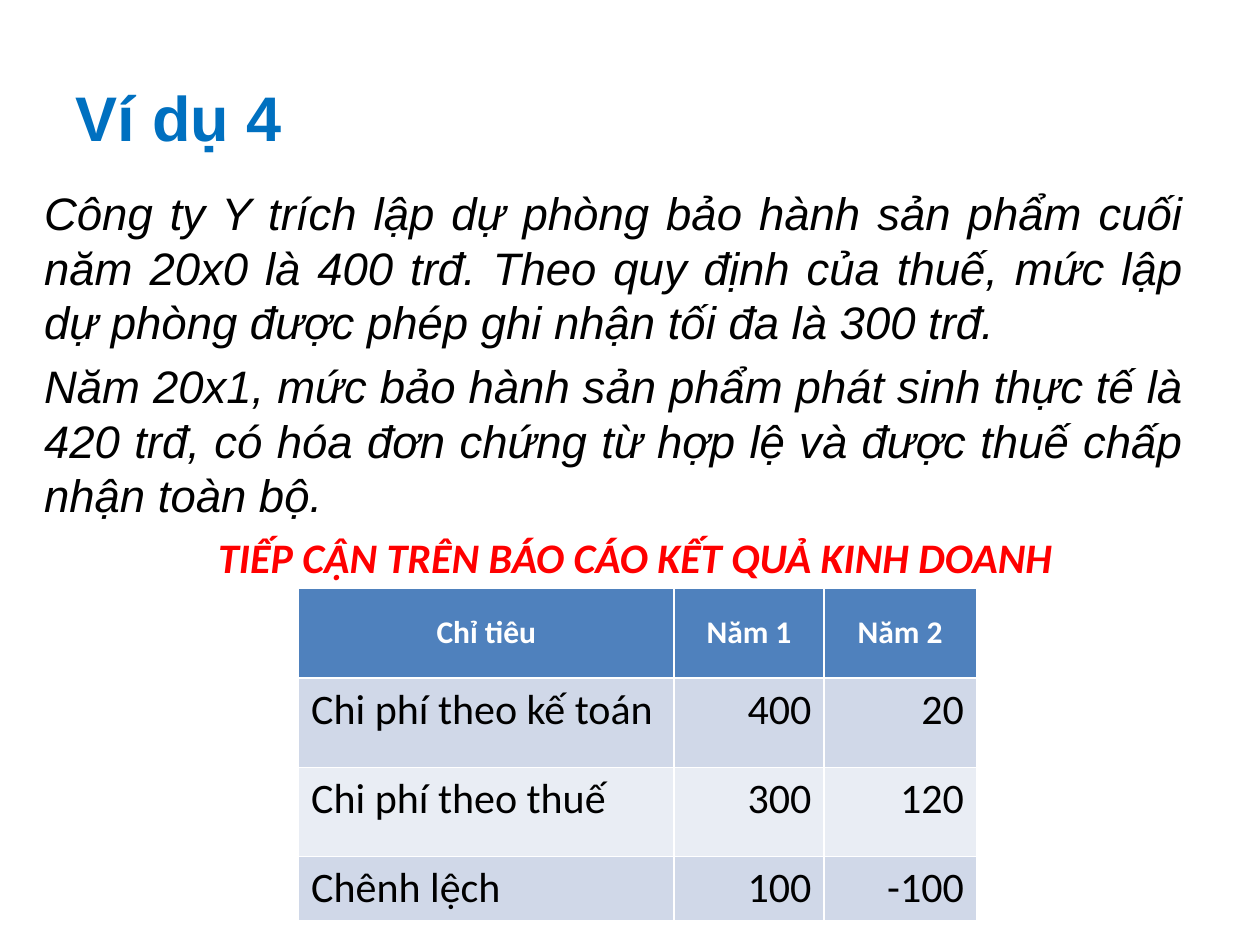
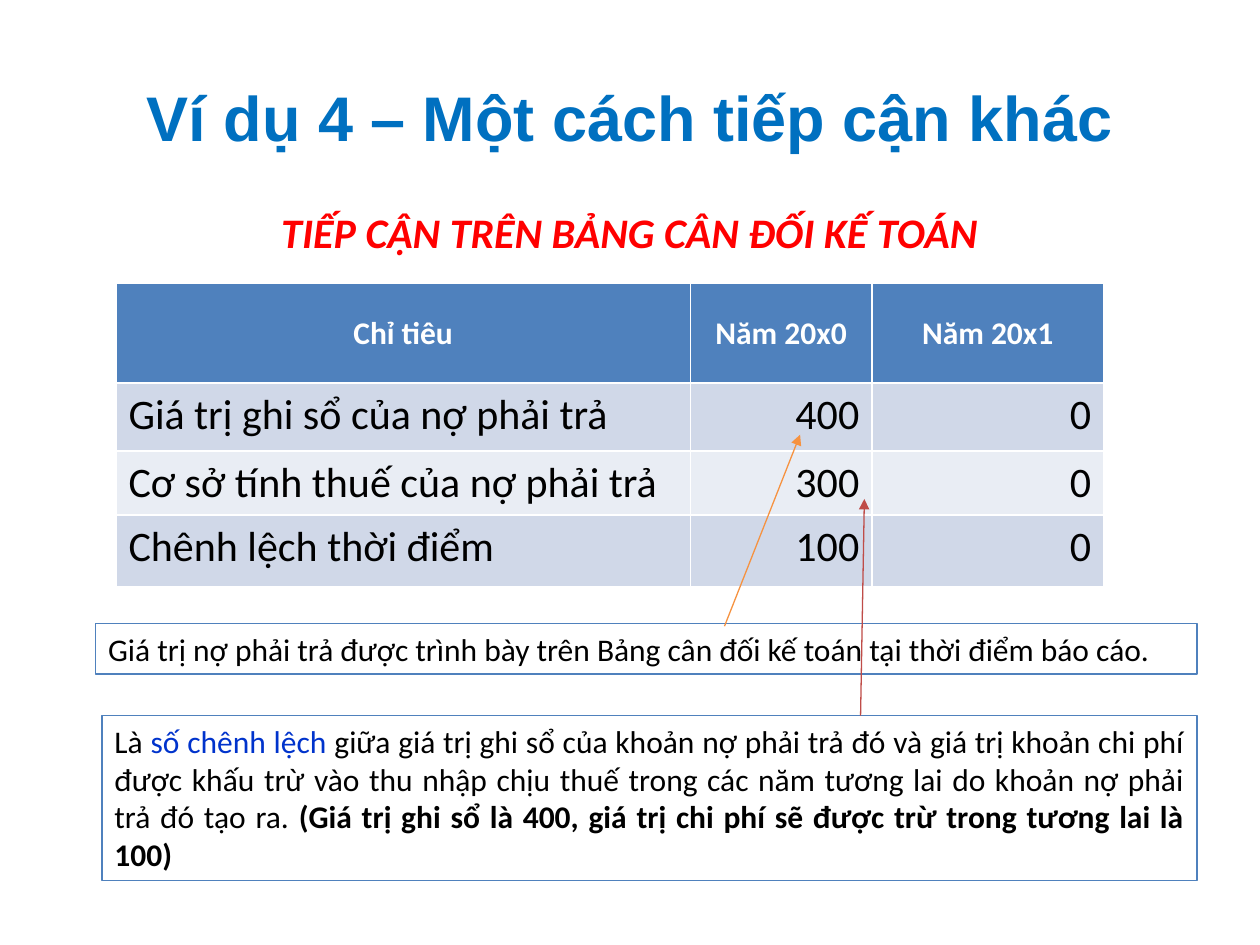
from lxml import etree
from pptx import Presentation
from pptx.dml.color import RGBColor
from pptx.enum.shapes import MSO_CONNECTOR
from pptx.enum.text import MSO_ANCHOR, MSO_AUTO_SIZE, PP_ALIGN as Align
from pptx.oxml.ns import qn
from pptx.util import Inches, Pt

BLUE = RGBColor(0x00, 0x70, 0xC0)
RED = RGBColor(0xFF, 0x00, 0x00)
BLACK = RGBColor(0x00, 0x00, 0x00)
WHITE = RGBColor(0xFF, 0xFF, 0xFF)
HEAD = RGBColor(0x4F, 0x81, 0xBD)
BANDS = [RGBColor(0xE9, 0xED, 0xF4), RGBColor(0xD0, 0xD8, 0xE8)]
LINK = RGBColor(0x00, 0x33, 0xCC)
ORANGE = RGBColor(0xF6, 0x92, 0x40)
BRICK = RGBColor(0xBF, 0x4C, 0x48)


def style(para, name, size, color, align, bold=False, italic=False):
    para.alignment = align
    font = para.font
    font.name, font.size = name, Pt(size)
    font.bold, font.italic = bold, italic
    font.color.rgb = color


def place(shape, left, top, width, height):
    shape.left, shape.top = Inches(left), Inches(top)
    shape.width, shape.height = Inches(width), Inches(height)


deck = Presentation()
deck.slide_width, deck.slide_height = Inches(10), Inches(7.5)

# Shared parts: title, red heading and table
pages = [
    dict(layout=1, title="Ví dụ 4", align=Align.LEFT,
         head="TIẾP CẬN TRÊN BÁO CÁO KẾT QUẢ KINH DOANH",
         box=(0.33, 4.17, 9.42, 0.75), at=(2.37, 4.67),
         cols=[2.98, 1.19, 1.21], rows=[0.71, 0.71, 0.71, 0.4],
         data=[("Chỉ tiêu", "Năm 1", "Năm 2"),
               ("Chi phí theo kế toán", "400", "20"),
               ("Chi phí theo thuế", "300", "120"),
               ("Chênh lệch", "100", "-100")]),
    dict(layout=5, title="Ví dụ 4 – Một cách tiếp cận khác", align=Align.CENTER,
         head="TIẾP CẬN TRÊN BẢNG CÂN ĐỐI KẾ TOÁN",
         box=(0.75, 1.59, 8.49, 0.75), at=(0.92, 2.25),
         cols=[4.56, 1.44, 1.84], rows=[0.79, 0.54, 0.49, 0.57],
         data=[("Chỉ tiêu", "Năm 20x0", "Năm 20x1"),
               ("Giá trị ghi sổ của nợ phải trả", "400", "0"),
               ("Cơ sở tính thuế của nợ phải trả", "300", "0"),
               ("Chênh lệch thời điểm", "100", "0")]),
]
for page in pages:
    slide = deck.slides.add_slide(deck.slide_layouts[page["layout"]])
    title = slide.shapes.title
    place(title, 0.5, 0.3, 9, 1.25)
    title.text_frame.text = page["title"]
    style(title.text_frame.paragraphs[0], "Arial", 36, BLUE, page["align"], bold=True)

    cols, rows = page["cols"], page["rows"]
    size = (*page["at"], sum(cols), sum(rows))
    grid = slide.shapes.add_table(len(rows), len(cols), *map(Inches, size)).table
    for col, width in zip(grid.columns, cols):
        col.width = Inches(width)
    for r, (height, words) in enumerate(zip(rows, page["data"])):
        grid.rows[r].height = Inches(height)
        for c, word in enumerate(words):
            cell = grid.cell(r, c)
            cell.text = word
            cell.fill.solid()
            cell.fill.fore_color.rgb = BANDS[r % 2] if r else HEAD
            para = cell.text_frame.paragraphs[0]
            if r == 0:
                cell.vertical_anchor = MSO_ANCHOR.MIDDLE
                style(para, "Calibri", 18, WHITE, Align.CENTER, bold=True)
            else:
                style(para, "Calibri", 24, BLACK, Align.RIGHT if c else Align.LEFT)

    frame = slide.shapes.add_textbox(*map(Inches, page["box"])).text_frame
    frame.word_wrap = True
    frame.text = page["head"]
    style(frame.paragraphs[0], "Calibri", 24, RED, Align.CENTER, bold=True, italic=True)

first, second = deck.slides

# Slide 1: the example
body = first.placeholders[1]
place(body, 0.25, 1.42, 9.25, 2.3)
frame = body.text_frame
frame.auto_size = MSO_AUTO_SIZE.NONE
frame.text = (
    "Công ty Y trích lập dự phòng bảo hành sản phẩm cuối năm 20x0 là 400 trđ. "
    "Theo quy định của thuế, mức lập dự phòng được phép ghi nhận tối đa là 300 trđ.\n"
    "Năm 20x1, mức bảo hành sản phẩm phát sinh thực tế là 420 trđ, "
    "có hóa đơn chứng từ hợp lệ và được thuế chấp nhận toàn bộ.")
for i, para in enumerate(frame.paragraphs):
    props = para._p.get_or_add_pPr()
    props.set("marL", "0")
    props.set("indent", "0")
    etree.SubElement(props, qn("a:buNone"))
    para.space_before = Pt(5.2 * i)
    style(para, "Arial", 26, BLACK, Align.JUSTIFY, italic=True)

# Slide 2: notes under the table
notes = [
    ((0.76, 4.95, 8.74, 0.4),
     [("Giá trị nợ phải trả được trình bày trên Bảng cân đối kế toán "
       "tại thời điểm báo cáo.", BLACK, False)]),
    ((0.81, 5.68, 8.69, 1.31),
     [("Là ", BLACK, False),
      ("số chênh lệch ", LINK, False),
      ("giữa giá trị ghi sổ của khoản nợ phải trả đó và giá trị khoản chi phí "
       "được khấu trừ vào thu nhập chịu thuế trong các năm tương lai "
       "do khoản nợ phải trả đó tạo ra. ", BLACK, False),
      ("(Giá trị ghi sổ là 400, giá trị chi phí sẽ được trừ trong tương lai là 100)",
       BLACK, True)]),
]
for box, runs in notes:
    note = second.shapes.add_textbox(*map(Inches, box))
    note.line.color.rgb = HEAD
    note.line.width = Pt(0.75)
    frame = note.text_frame
    frame.word_wrap = True
    frame.auto_size = MSO_AUTO_SIZE.SHAPE_TO_FIT_TEXT
    para = frame.paragraphs[0]
    style(para, "Calibri", 18, BLACK, Align.JUSTIFY)
    for text, color, bold in runs:
        run = para.add_run()
        run.text = text
        run.font.color.rgb = color
        run.font.bold = bold

# Slide 2: arrows from the notes to the figures
for ends, color in [((5.75, 4.97, 6.35, 3.45), ORANGE),
                    ((6.83, 5.68, 6.86, 3.96), BRICK)]:
    arrow = second.shapes.add_connector(MSO_CONNECTOR.STRAIGHT, *map(Inches, ends))
    arrow.line.color.rgb = color
    arrow.line.width = Pt(0.75)
    etree.SubElement(arrow.line._get_or_add_ln(), qn("a:tailEnd"), type="triangle")
    etree.SubElement(arrow._element.spPr, qn("a:effectLst"))

deck.save("out.pptx")
